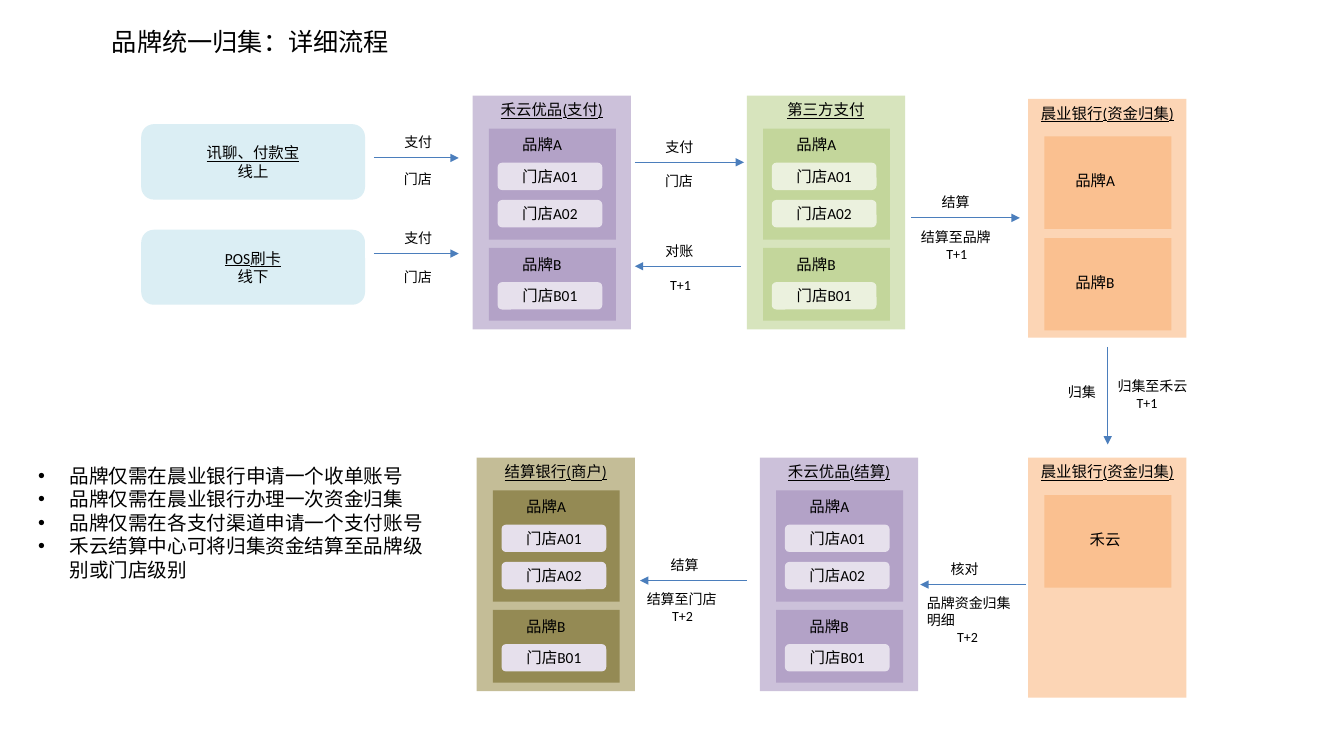
from collections import namedtuple

import pptx
import pptx.dml.color
import pptx.enum.shapes
import pptx.enum.text
import pptx.oxml
import pptx.oxml.ns
import pptx.util

Cm = pptx.util.Cm
SHAPES = pptx.enum.shapes.MSO_SHAPE
ALIGN = pptx.enum.text.PP_ALIGN
ANCHOR = pptx.enum.text.MSO_ANCHOR

FONT = "Calibri"
COLORS = {
    "text": "000000",
    "arrow": "4B7EBC",
    "source": "DBEEF4",
    "bank": "FCD5B5",
    "bank_slot": "FAC090",
}
# Panel, brand group and store colours of each store panel
PALETTES = {
    "purple": ("CCC1DA", "B3A2C7", "E6E0EC"),
    "green": ("D7E4BD", "C3D69B", "EBF1DE"),
    "olive": ("C4BD97", "948A54", "E6E0EC"),
}

# Lengths in centimetres
Box = namedtuple("Box", "left top width height")
Line = namedtuple("Line", "text underline indent", defaults=(False, 0))
PANEL_WIDTH, PANEL_HEIGHT = 3.99, 5.89
GROUP_INSET, GROUP_WIDTH = 0.41, 3.2
TITLE_HEIGHT = 0.74


def emu(box):
    return [Cm(length) for length in box]


def rgb(color):
    return pptx.dml.color.RGBColor.from_string(color)


def write_lines(frame, lines, size, align):
    frame.word_wrap = True
    for index, line in enumerate(lines):
        paragraph = frame.paragraphs[0] if index == 0 else frame.add_paragraph()
        paragraph.alignment = align
        if line.indent:
            paragraph._p.get_or_add_pPr().set("marL", str(Cm(line.indent)))
        run = paragraph.add_run()
        run.text = line.text
        run.font.name = FONT
        run.font.size = pptx.util.Pt(size)
        run.font.underline = line.underline
        run.font.color.rgb = rgb(COLORS["text"])


def add_block(slide, box, color, lines=(), kind=SHAPES.RECTANGLE):
    shape = slide.shapes.add_shape(kind, *emu(box))
    shape.shadow.inherit = False
    shape.fill.solid()
    shape.fill.fore_color.rgb = rgb(color)
    shape.line.fill.background()
    shape.text_frame.vertical_anchor = ANCHOR.MIDDLE
    write_lines(shape.text_frame, lines, 11, ALIGN.CENTER)


def add_label(slide, box, lines, size=11, align=ALIGN.LEFT):
    shape = slide.shapes.add_textbox(*emu(box))
    write_lines(shape.text_frame, lines, size, align)
    return shape


def add_panel_title(slide, box, title):
    add_label(slide, box._replace(height=TITLE_HEIGHT), [Line(title, True)],
              align=ALIGN.CENTER)


def add_source(slide, box, channel, place):
    add_block(slide, box, COLORS["source"], [Line(channel, True), Line(place)],
              SHAPES.ROUNDED_RECTANGLE)


def add_brand_group(slide, box, brand, stores, group_color, store_color):
    add_block(slide, box, group_color)
    add_label(slide, Box(box.left + 0.59, box.top + 0.05, 2.13, TITLE_HEIGHT),
              [Line("品牌" + brand)])
    for index in range(stores):
        store = Box(box.left + 0.22, box.top + 0.86 + 0.94 * index, 2.64, 0.69)
        add_block(slide, store, store_color,
                  [Line(f"门店{brand}{index + 1:02d}")], SHAPES.ROUNDED_RECTANGLE)


def add_store_panel(slide, box, title, palette):
    panel_color, group_color, store_color = PALETTES[palette]
    add_block(slide, box, panel_color)
    add_panel_title(slide, box, title)
    for brand, stores, top, height in (("A", 2, 0.83, 2.8), ("B", 1, 3.84, 1.83)):
        group = Box(box.left + GROUP_INSET, box.top + top, GROUP_WIDTH, height)
        add_brand_group(slide, group, brand, stores, group_color, store_color)


def add_bank_panel(slide, box, title, owners, owner_inset):
    add_block(slide, box, COLORS["bank"])
    add_panel_title(slide, box, title)
    for index, owner in enumerate(owners):
        slot = Box(box.left + GROUP_INSET, box.top + 0.95 + 2.56 * index,
                   GROUP_WIDTH, 2.33)
        add_block(slide, slot, COLORS["bank_slot"])
        add_label(slide, Box(slot.left + owner_inset, slot.top + 0.75, 2.13,
                             TITLE_HEIGHT), [Line(owner)])


def add_arrow(slide, start_x, start_y, end_x, end_y):
    connector = slide.shapes.add_connector(
        pptx.enum.shapes.MSO_CONNECTOR.STRAIGHT,
        Cm(start_x), Cm(start_y), Cm(end_x), Cm(end_y))
    connector.line.color.rgb = rgb(COLORS["arrow"])
    connector.line.width = pptx.util.Pt(0.75)
    tail = pptx.oxml.parse_xml(
        f'<a:tailEnd {pptx.oxml.ns.nsdecls("a")} type="triangle"/>')
    connector.line._get_or_add_ln().append(tail)
    effects = pptx.oxml.parse_xml(f'<a:effectLst {pptx.oxml.ns.nsdecls("a")}/>')
    connector._element.spPr.append(effects)


def add_step(slide, start_x, end_x, y, action, details, detail_shift, detail_drop):
    """Horizontal arrow with an action above and details below."""
    left = min(start_x, end_x)
    add_arrow(slide, start_x, y, end_x, y)
    add_label(slide, Box(left + 0.52, y - 0.73, 1.3, 0.68), [Line(action)], 10)
    add_label(slide, Box(left + detail_shift, y + detail_drop, 2.77,
                         0.25 + 0.43 * len(details)), details, 10)


def add_collection_step(slide, box):
    """Vertical arrow along the middle of the box, with text on both sides."""
    middle = box.left + box.width / 2
    add_arrow(slide, middle, box.top, middle, box.top + box.height)
    add_label(slide, Box(middle - 1.25, box.top + 0.81, 1.3, 0.68),
              [Line("归集")], 10)
    add_label(slide, Box(middle, box.top + 0.66, 2.46, 1.12),
              [Line("归集至禾云"), Line("T+1", indent=0.48)], 10)


def add_benefits(slide, box, benefits):
    shape = add_label(slide, box, [Line(benefit) for benefit in benefits], 14)
    for paragraph in shape.text_frame.paragraphs:
        properties = paragraph._p.get_or_add_pPr()
        properties.set("marL", str(Cm(0.79)))
        properties.set("indent", str(-Cm(0.79)))
        properties.append(pptx.oxml.parse_xml(
            f'<a:buFont {pptx.oxml.ns.nsdecls("a")} typeface="Arial"/>'))
        properties.append(pptx.oxml.parse_xml(
            f'<a:buChar {pptx.oxml.ns.nsdecls("a")} char="•"/>'))


def main():
    presentation = pptx.Presentation()
    presentation.slide_width, presentation.slide_height = Cm(33.87), Cm(19.05)
    slide = presentation.slides.add_slide(presentation.slide_layouts[6])

    # Title
    add_label(slide, Box(2.57, 0.53, 12.34, 1.02), [Line("品牌统一归集：详细流程")], 18)

    # Payment sources
    add_source(slide, Box(3.56, 3.13, 5.64, 1.9), "讯聊、付款宝", "线上")
    add_source(slide, Box(3.56, 5.79, 5.64, 1.89), "POS刷卡", "线下")

    # Store panels
    for left, top, title, palette in (
            (11.91, 2.41, "禾云优品(支付)", "purple"),
            (18.82, 2.41, "第三方支付", "green"),
            (19.15, 11.53, "禾云优品(结算)", "purple"),
            (12.01, 11.53, "结算银行(商户)", "olive")):
        add_store_panel(slide, Box(left, top, PANEL_WIDTH, PANEL_HEIGHT), title, palette)

    # Bank panels
    bank = "晨业银行(资金归集)"
    add_bank_panel(slide, Box(25.91, 2.49, PANEL_WIDTH, 6.02), bank,
                   ("品牌A", "品牌B"), 0.53)
    add_bank_panel(slide, Box(25.91, 11.53, PANEL_WIDTH, 6.05), bank, ("禾云",), 0.89)

    # Flow steps
    store = [Line("门店")]
    for step in (
            (9.42, 11.56, 3.98, "支付", store, 0.51, 0.18),
            (9.42, 11.56, 6.39, "支付", store, 0.51, 0.26),
            (16, 18.75, 4.09, "支付", store, 0.51, 0.13),
            (18.67, 16, 6.71, "对账", [Line("T+1", indent=0.72)], -0.08, 0.13),
            (22.96, 25.7, 5.49, "结算",
             [Line("结算至品牌"), Line("T+1", indent=0.64)], 0, 0.14),
            (25.86, 23.19, 14.73, "核对",
             [Line("品牌资金归集明细"), Line("T+2", indent=0.76)], -0.08, 0.13),
            (18.82, 16.13, 14.63, "结算",
             [Line("结算至门店"), Line("T+2", indent=0.64)], -0.08, 0.13)):
        add_step(slide, *step)
    add_collection_step(slide, Box(25.91, 8.74, 4.01, 2.46))

    # Benefits
    add_benefits(slide, Box(0.71, 11.56, 10.36, 3.25), (
        "品牌仅需在晨业银行申请一个收单账号",
        "品牌仅需在晨业银行办理一次资金归集",
        "品牌仅需在各支付渠道申请一个支付账号",
        "禾云结算中心可将归集资金结算至品牌级别或门店级别"))

    presentation.save("out.pptx")


if __name__ == "__main__":
    main()
